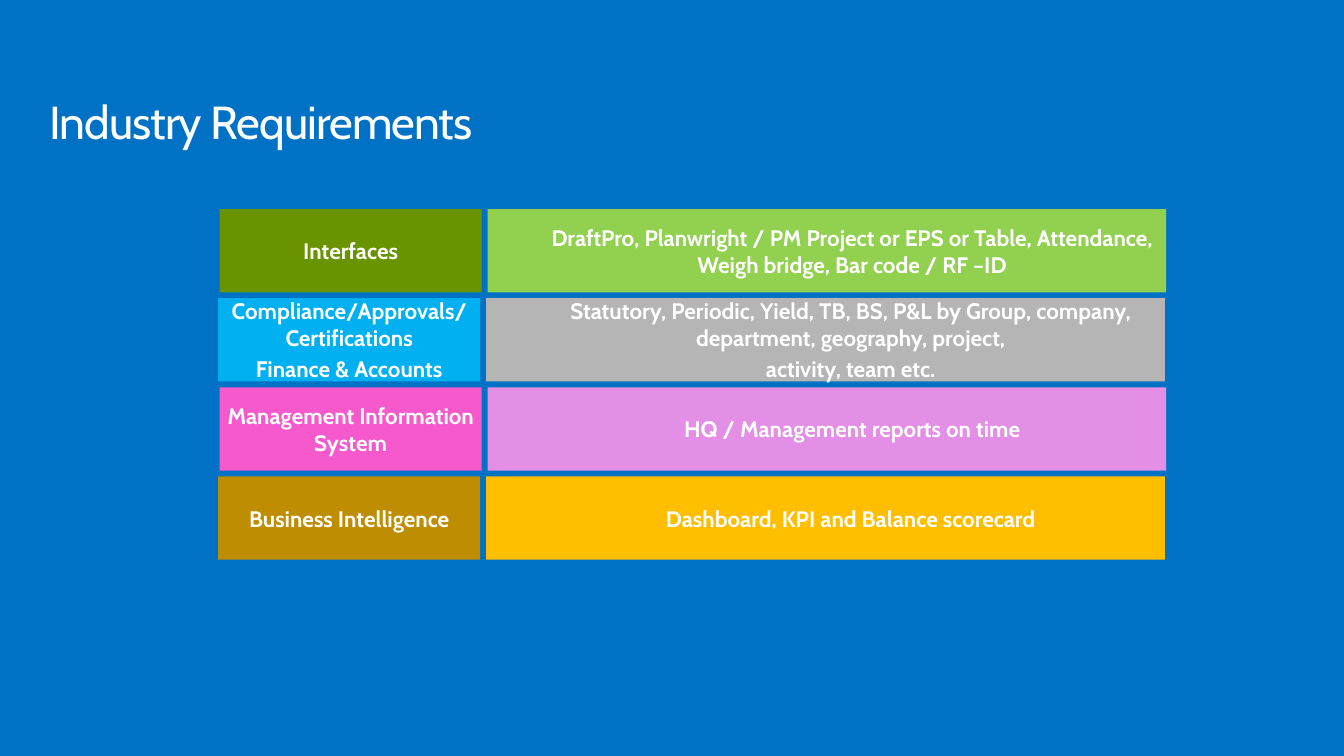
from dataclasses import dataclass

from pptx import Presentation
from pptx.dml.color import RGBColor as RGB
from pptx.enum.shapes import MSO_SHAPE as Shape
from pptx.enum.text import MSO_ANCHOR as Anchor, PP_ALIGN as Align
from pptx.util import Pt


@dataclass(frozen=True)
class Theme:
    font: str = "Cabin"
    back: str = "0072C6"
    text: str = "FFFFFF"
    head: float = 49.5
    body: float = 24


THEME = Theme()

# Label lines, label fill, detail lines, detail fill
ROWS = [
    (["Interfaces"], "699400",
     ["DraftPro, Planwright / PM Project or EPS or Table, Attendance, "
      "Weigh bridge, Bar code / RF –ID"], "92D050"),
    (["Compliance/Approvals/Certifications", "Finance & Accounts"], "00B0F0",
     ["Statutory, Periodic, Yield, TB, BS, P&L by Group, company, "
      "department, geography, project,", "activity, team etc."], "B5B5B5"),
    (["Management Information System"], "F559CC",
     ["HQ / Management reports on time"], "E38FE5"),
    (["Business Intelligence"], "BF8E00",
     ["Dashboard, KPI and Balance scorecard"], "FFBE00"),
]

# Grid in points; every second row sits a little to the left
TOP, STEP, HIGH = 224, 95.5, 89.3
LABEL_X, LABEL_W = 235.3, 280.8
DETAIL_X, DETAIL_W = 522.4, 727.2
SHIFT = 1.6


def write(frame, lines, size=THEME.body, bold=False, align=Align.LEFT,
          anchor=Anchor.MIDDLE, indent=0, gap=0, line=None, track=0):
    frame.word_wrap = True
    frame.vertical_anchor = anchor
    for i, words in enumerate(lines):
        para = frame.add_paragraph() if i else frame.paragraphs[0]
        para.alignment = align
        para.space_before = Pt(gap if i else 0)
        if line:
            para.line_spacing = line
        if indent:
            props = para._p.get_or_add_pPr()
            props.set("marL", str(Pt(indent)))
            props.set("indent", "0")
        run = para.add_run()
        run.text = words
        font = run.font
        font.name, font.size, font.bold = THEME.font, Pt(size), bold
        font.color.rgb = RGB.from_string(THEME.text)
        if track:
            run._r.get_or_add_rPr().set("spc", str(track * 100))


def add_title(slide, words):
    title = slide.shapes.title
    title.left, title.top = Pt(52.6), Pt(106.6)
    title.width, title.height = Pt(1317), Pt(54)
    frame = title.text_frame
    frame.margin_left = frame.margin_right = 0
    frame.margin_top = frame.margin_bottom = 0
    write(frame, [words], size=THEME.head, anchor=Anchor.TOP,
          line=0.9, track=-1)


def add_box(slide, left, top, width, fill, lines, indent=0):
    box = slide.shapes.add_shape(Shape.RECTANGLE, Pt(left), Pt(top),
                                 Pt(width), Pt(HIGH))
    box.shadow.inherit = False
    box.fill.solid()
    box.fill.fore_color.rgb = RGB.from_string(fill)
    box.line.fill.background()
    write(box.text_frame, lines, bold=True, align=Align.CENTER,
          indent=indent, gap=4.8)


def main():
    deck = Presentation()
    deck.slide_width, deck.slide_height = Pt(1440), Pt(810)
    slide = deck.slides.add_slide(deck.slide_layouts[5])

    # Background and title
    slide.background.fill.solid()
    slide.background.fill.fore_color.rgb = RGB.from_string(THEME.back)
    add_title(slide, "Industry Requirements")

    # Requirement rows
    for i, (label, tint, detail, tone) in enumerate(ROWS):
        top = TOP + i * STEP
        shift = SHIFT * (i % 2)
        add_box(slide, LABEL_X - shift, top, LABEL_W, tint, label)
        add_box(slide, DETAIL_X - shift, top, DETAIL_W, tone, detail,
                indent=54)

    deck.save("out.pptx")


if __name__ == "__main__":
    main()
